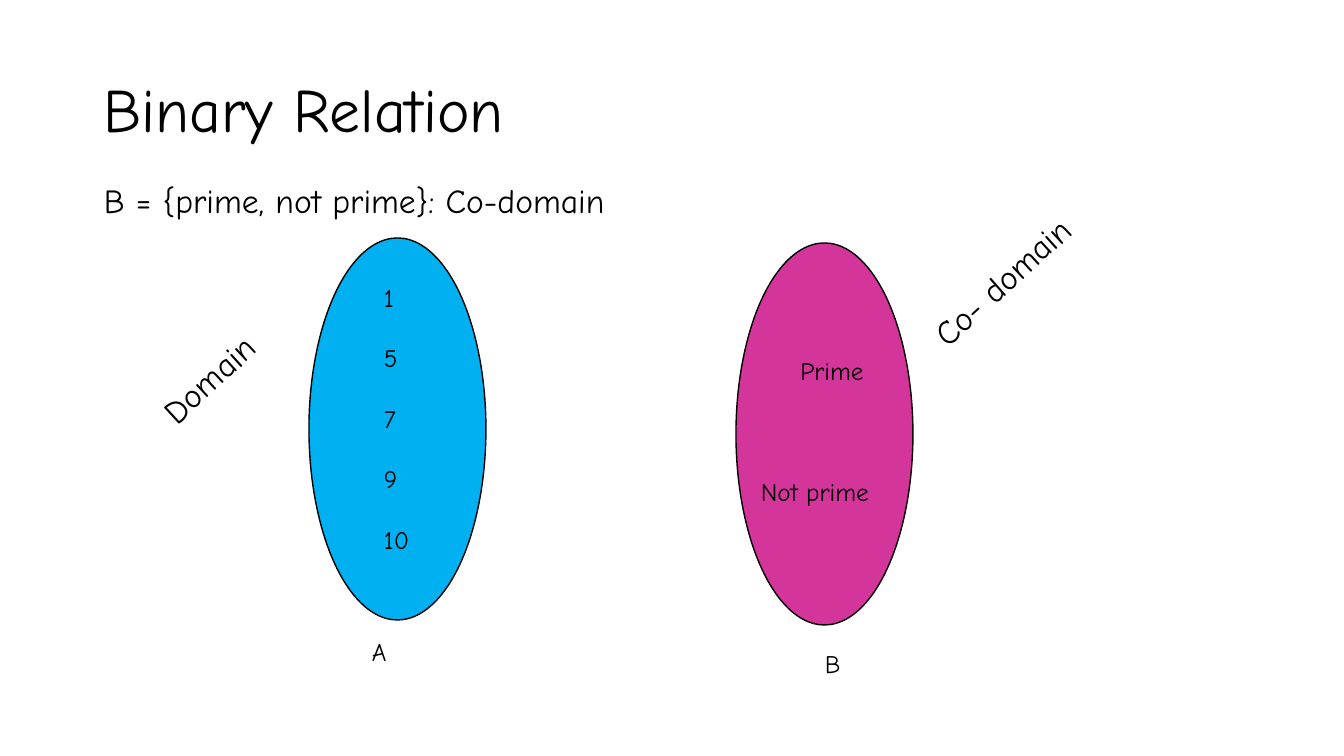
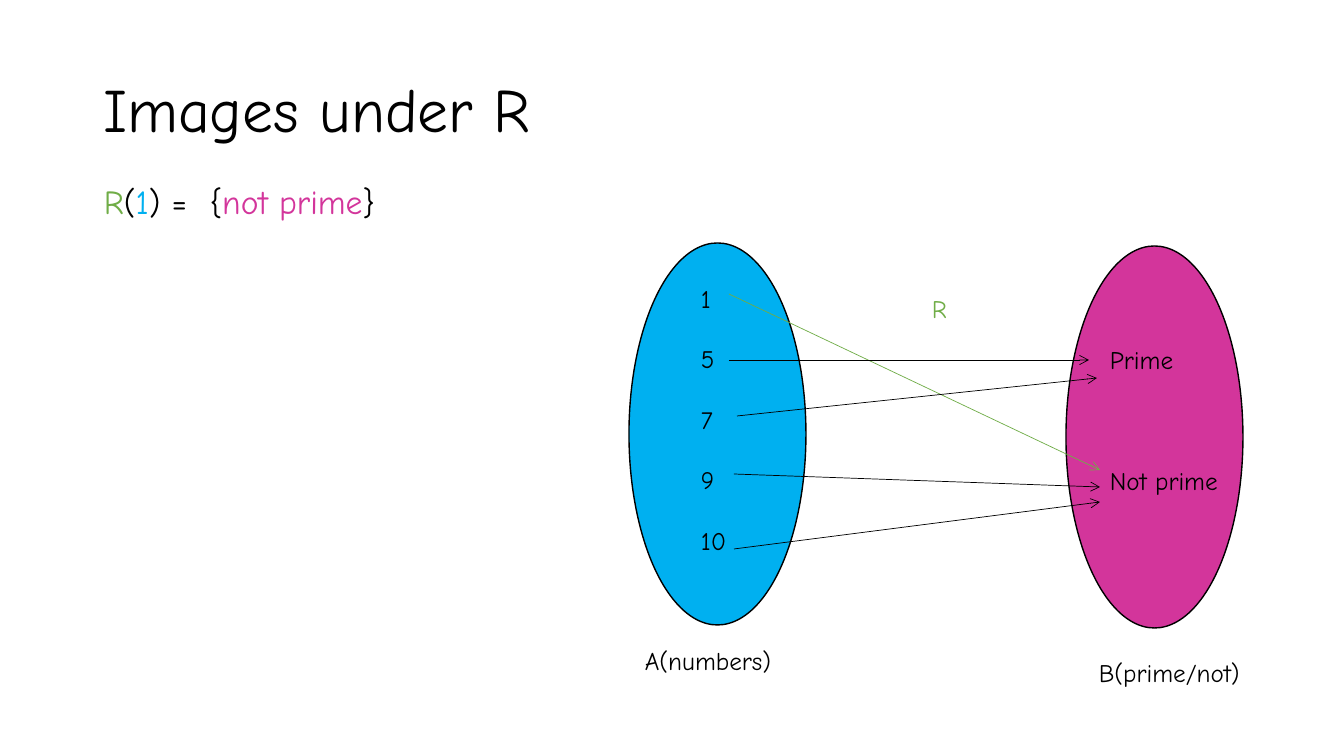
from dataclasses import dataclass
from typing import NamedTuple, Sequence

from lxml.etree import SubElement
from pptx import Presentation
from pptx.dml.color import RGBColor
from pptx.enum.shapes import MSO_CONNECTOR, MSO_SHAPE
from pptx.enum.text import MSO_ANCHOR, MSO_AUTO_SIZE, PP_ALIGN
from pptx.oxml.ns import qn
from pptx.util import Emu, Pt

PIXELS_PER_INCH = 100.8
SLIDE_WIDTH, SLIDE_HEIGHT = 1344, 756
TITLE_ONLY_LAYOUT = 5


@dataclass(frozen=True)
class Theme:
    font: str = "Comic Neue"
    ink: str = "000000"
    domain: str = "00B0F0"
    codomain: str = "D3359B"
    relation: str = "70AD47"
    title_size: int = 44
    body_size: int = 24
    label_size: int = 18
    line_height: float = 21.6
    outline: float = 1
    arrow: float = 0.5


THEME = Theme()


class Box(NamedTuple):
    left: int
    top: int
    width: int
    height: int


class Run(NamedTuple):
    text: str
    color: str = THEME.ink


class Arrow(NamedTuple):
    start: tuple[int, int]
    end: tuple[int, int]
    color: str = THEME.ink


class Label(NamedTuple):
    runs: Sequence[Run]
    box: Box
    size: int = THEME.label_size
    rotation: float = 0
    loose: bool = False


class Oval(NamedTuple):
    left: int
    top: int
    color: str


class Members(NamedTuple):
    names: Sequence[str]
    box: Box
    blank_lines: int
    alignments: Sequence[PP_ALIGN]


@dataclass(frozen=True)
class RelationSlide:
    title: str
    ovals: Sequence[Oval]
    members: Sequence[Members]
    labels: Sequence[Label]
    arrows: Sequence[Arrow] = ()


TITLE_BOX = Box(93, 40, 1159, 146)
OVAL_SIZE = (177, 382)
LABEL_TILT = 317.3
LEFT, CENTER = PP_ALIGN.LEFT, PP_ALIGN.CENTER


def pixels(value: float) -> Emu:
    return Emu(round(value * 914400 / PIXELS_PER_INCH))


def numbers(left: int, top: int) -> Members:
    return Members(("1", "5", "7", "9", "10"), Box(left, top, 66, 285), 1, (LEFT,) * 5)


def outcomes(left: int, top: int, first_alignment: PP_ALIGN) -> Members:
    return Members(
        ("Prime", "Not prime"), Box(left, top, 162, 163), 3, (first_alignment, LEFT)
    )


def domain_caption(text: str, left: int, top: int) -> Label:
    return Label((Run(text),), Box(left, top, 245, 47), loose=True)


def codomain_caption(text: str, left: int, top: int) -> Label:
    return Label((Run(text),), Box(left, top, 177, 40))


def body(runs: Sequence[Run], box: Box, rotation: float = 0) -> Label:
    return Label(runs, box, THEME.body_size, rotation, True)


def place(shape, box: Box) -> None:
    shape.left, shape.top, shape.width, shape.height = map(pixels, box)


def write_text(
    paragraph,
    runs: Sequence[Run],
    *,
    size: float,
    alignment: PP_ALIGN = LEFT,
    line_spacing: float = 1.0,
    space_before: float = 0,
) -> None:
    paragraph.alignment = alignment
    paragraph.line_spacing = line_spacing
    paragraph.space_before = Pt(space_before)
    for text, color in runs:
        run = paragraph.add_run()
        run.text = text
        run.font.name = THEME.font
        run.font.size = Pt(size)
        run.font.color.rgb = RGBColor.from_string(color)


def add_title(slide, text: str) -> None:
    title = slide.shapes.title
    place(title, TITLE_BOX)
    frame = title.text_frame
    frame.auto_size = MSO_AUTO_SIZE.NONE
    frame.vertical_anchor = MSO_ANCHOR.MIDDLE
    write_text(
        frame.paragraphs[0], (Run(text),), size=THEME.title_size, line_spacing=0.9
    )


def add_text_frame(slide, box: Box, rotation: float = 0):
    shape = slide.shapes.add_textbox(*map(pixels, box))
    shape.rotation = rotation
    shape.text_frame.word_wrap = True
    return shape.text_frame


def add_label(slide, label: Label) -> None:
    frame = add_text_frame(slide, label.box, label.rotation)
    write_text(
        frame.paragraphs[0],
        label.runs,
        size=label.size,
        line_spacing=0.9 if label.loose else 1.0,
        space_before=10 if label.loose else 0,
    )


def add_members(slide, members: Members) -> None:
    frame = add_text_frame(slide, members.box)
    for index, (name, alignment) in enumerate(zip(members.names, members.alignments)):
        paragraph = frame.add_paragraph() if index else frame.paragraphs[0]
        gap = members.blank_lines * THEME.line_height if index else 0
        write_text(
            paragraph,
            (Run(name),),
            size=THEME.label_size,
            alignment=alignment,
            space_before=gap,
        )


def add_oval(slide, oval: Oval) -> None:
    box = Box(oval.left, oval.top, *OVAL_SIZE)
    shape = slide.shapes.add_shape(MSO_SHAPE.OVAL, *map(pixels, box))
    shape.shadow.inherit = False
    shape.fill.solid()
    shape.fill.fore_color.rgb = RGBColor.from_string(oval.color)
    shape.line.color.rgb = RGBColor.from_string(THEME.ink)
    shape.line.width = Pt(THEME.outline)


def add_arrow(slide, arrow: Arrow) -> None:
    connector = slide.shapes.add_connector(
        MSO_CONNECTOR.STRAIGHT, *map(pixels, (*arrow.start, *arrow.end))
    )
    connector.line.color.rgb = RGBColor.from_string(arrow.color)
    connector.line.width = Pt(THEME.arrow)
    properties = connector.element.spPr
    SubElement(properties.find(qn("a:ln")), qn("a:tailEnd"), type="arrow")
    SubElement(properties, qn("a:effectLst"))


def add_relation_slide(presentation, content: RelationSlide) -> None:
    slide = presentation.slides.add_slide(presentation.slide_layouts[TITLE_ONLY_LAYOUT])
    add_title(slide, content.title)
    for oval in content.ovals:
        add_oval(slide, oval)
    for members in content.members:
        add_members(slide, members)
    for arrow in content.arrows:
        add_arrow(slide, arrow)
    for label in content.labels:
        add_label(slide, label)


SLIDES = (
    RelationSlide(
        title="Binary Relation",
        ovals=(Oval(309, 238, THEME.domain), Oval(736, 243, THEME.codomain)),
        members=(numbers(374, 277), outcomes(751, 350, CENTER)),
        labels=(
            body((Run("B = {prime, not prime}: Co-domain"),), Box(94, 180, 1149, 47)),
            domain_caption("A", 362, 635),
            codomain_caption("B", 815, 643),
            body((Run("Co- domain"),), Box(905, 249, 222, 47), LABEL_TILT),
            body((Run("Domain"),), Box(142, 348, 158, 47), LABEL_TILT),
        ),
    ),
    RelationSlide(
        title="Images under R",
        ovals=(Oval(629, 243, THEME.domain), Oval(1066, 246, THEME.codomain)),
        members=(numbers(691, 278), outcomes(1100, 339, LEFT)),
        labels=(
            body(
                (
                    Run("R", THEME.relation),
                    Run("("),
                    Run("1", THEME.domain),
                    Run(") =  {"),
                    Run("not prime", THEME.codomain),
                    Run("}"),
                ),
                Box(94, 180, 526, 158),
            ),
            domain_caption("A(numbers)", 635, 644),
            codomain_caption("B(prime/not)", 1089, 652),
            Label((Run("R", THEME.relation),), Box(922, 288, 36, 40)),
        ),
        arrows=(
            Arrow((729, 294), (1100, 470), THEME.relation),
            Arrow((729, 360), (1089, 360)),
            Arrow((737, 416), (1097, 378)),
            Arrow((734, 474), (1100, 487)),
            Arrow((734, 549), (1100, 502)),
        ),
    ),
)


def main() -> None:
    presentation = Presentation()
    presentation.slide_width = pixels(SLIDE_WIDTH)
    presentation.slide_height = pixels(SLIDE_HEIGHT)
    for content in SLIDES:
        add_relation_slide(presentation, content)
    presentation.save("out.pptx")


main()
